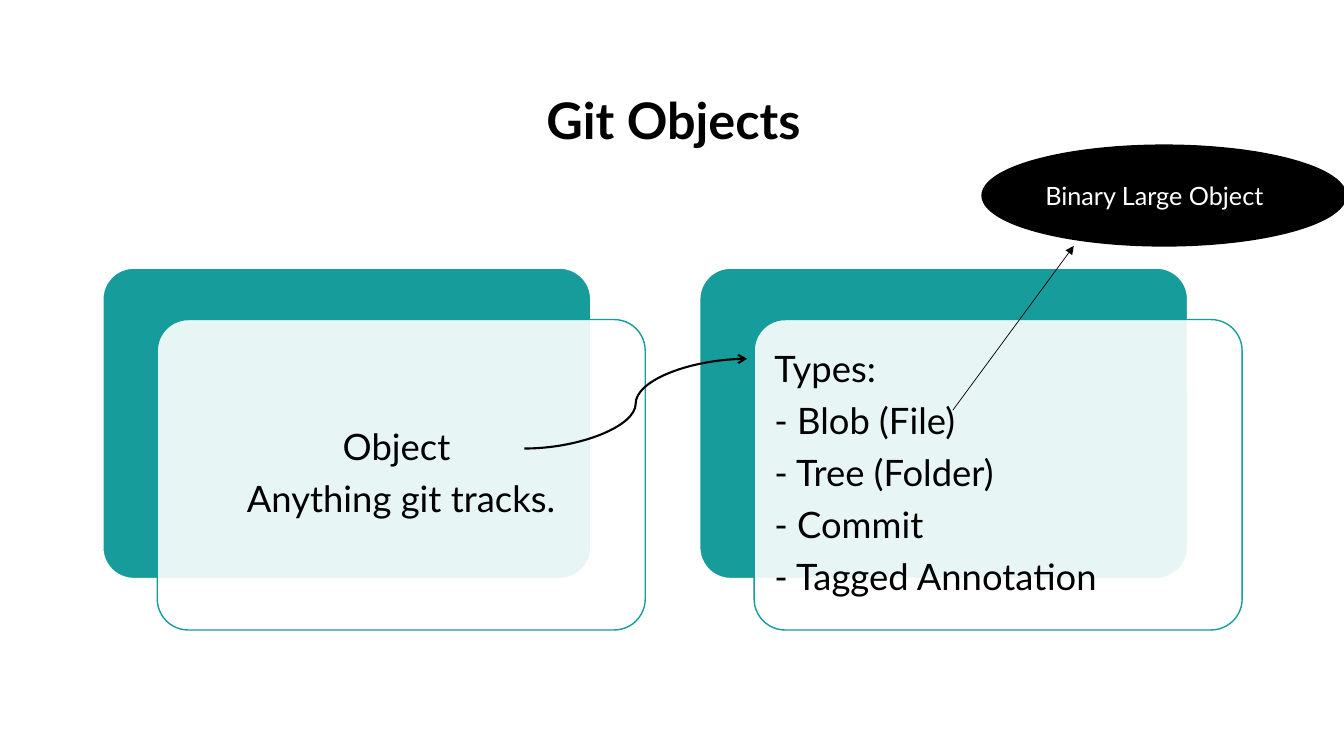
"""Build the Git Objects slide."""
from pptx import Presentation, util as u
from pptx.dml.color import RGBColor as Rgb
from pptx.enum import shapes as sh, text as tx
from pptx.oxml.ns import qn
from lxml import etree


class Theme:
    font = "Lato"
    teal = Rgb.from_string("169C9A")
    white = Rgb.from_string("FFFFFF")
    black = Rgb.from_string("000000")
    title, body, note = 36, 26, 18


def shape(kind, x, y, w, h, fill, line):
    item = slide.shapes.add_shape(kind, u.Inches(x), u.Inches(y), u.Inches(w), u.Inches(h))
    item.shadow.inherit = False
    item.fill.solid()
    item.fill.fore_color.rgb = fill
    item.line.color.rgb = line
    item.line.width = u.Pt(1)
    return item


def write(frame, lines, size, color, align, bold=False, gap=0, pitch=0.9):
    frame.word_wrap = True
    frame.vertical_anchor = tx.MSO_ANCHOR.MIDDLE
    for i, line in enumerate(lines):
        para = frame.paragraphs[0] if i == 0 else frame.add_paragraph()
        para.alignment = align
        para.line_spacing = pitch
        para.space_after = u.Pt(gap)
        run = para.add_run()
        run.text = line
        run.font.name = Theme.font
        run.font.size = u.Pt(size)
        run.font.bold = bold
        run.font.color.rgb = color


deck = Presentation()
deck.slide_width, deck.slide_height = u.Inches(13.33), u.Inches(7.5)
slide = deck.slides.add_slide(deck.slide_layouts[6])
left, center = tx.PP_ALIGN.LEFT, tx.PP_ALIGN.CENTER

title = slide.shapes.add_textbox(u.Inches(1.67), u.Inches(0.6), u.Inches(10.02), u.Inches(1.24))
write(title.text_frame, ["Git Objects"], Theme.title, Theme.black, center, bold=True)

cards = [
    (1.02, center, ["Object ", "Anything git tracks."]),
    (6.94, left, ["Types:", "- Blob (File)", "- Tree (Folder)", "- Commit", "- Tagged Annotation"]),
]
for x, align, lines in cards:
    back = shape(sh.MSO_SHAPE.ROUNDED_RECTANGLE, x, 2.66, 4.84, 3.08, Theme.teal, Theme.white)
    front = shape(sh.MSO_SHAPE.ROUNDED_RECTANGLE, x + 0.54, 3.17, 4.84, 3.08, Theme.white, Theme.teal)
    for plate in (back, front):
        plate.adjustments[0] = 0.1
    tint = front.fill._xPr.find(qn("a:solidFill"))[0]
    etree.SubElement(tint, qn("a:alpha")).set("val", "90000")
    label = slide.shapes.add_textbox(u.Inches(x + 0.63), u.Inches(3.26), u.Inches(4.66), u.Inches(2.9))
    frame = label.text_frame
    frame.margin_left = frame.margin_right = u.Inches(0.11)
    frame.margin_top = frame.margin_bottom = u.Inches(0.11)
    write(frame, lines, Theme.body, Theme.black, align, gap=9.1)

arrows = [
    (sh.MSO_CONNECTOR.STRAIGHT, (9.45, 4.07, 10.65, 2.44), 0.5, "triangle"),
    (sh.MSO_CONNECTOR.CURVE, (5.2, 4.45, 7.41, 3.56), 1.5, "arrow"),
]
for kind, ends, width, head in arrows:
    arrow = slide.shapes.add_connector(kind, *[u.Inches(v) for v in ends])
    arrow.line.color.rgb = Theme.black
    arrow.line.width = u.Pt(width)
    etree.SubElement(arrow.line._get_or_add_ln(), qn("a:tailEnd")).set("type", head)
    etree.SubElement(arrow._element.spPr, qn("a:effectLst"))

blob = shape(sh.MSO_SHAPE.OVAL, 9.74, 1.44, 3.61, 1, Theme.black, Theme.black)
write(blob.text_frame, ["Binary Large Object"], Theme.note, Theme.white, left, pitch=1)

deck.save("out.pptx")
